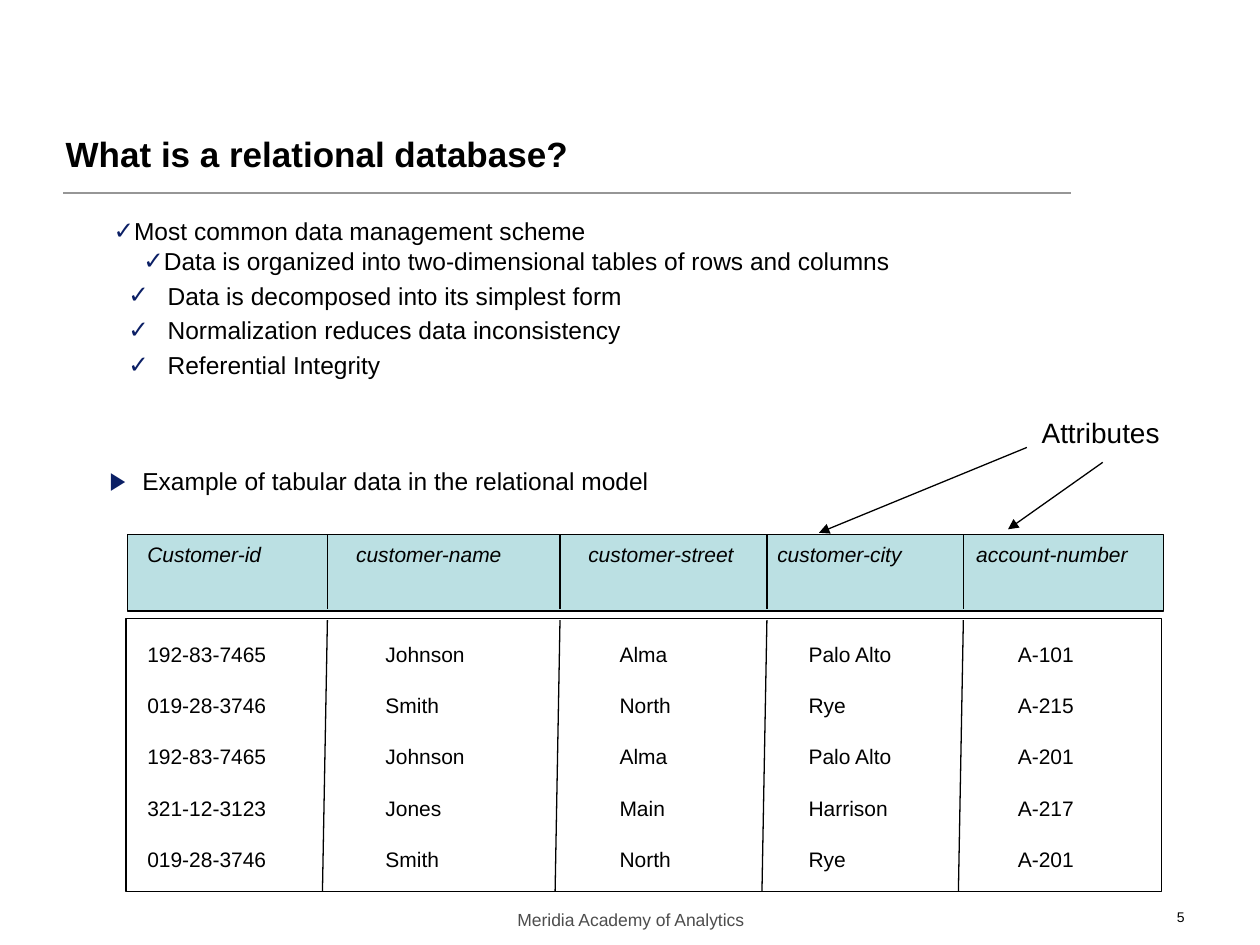
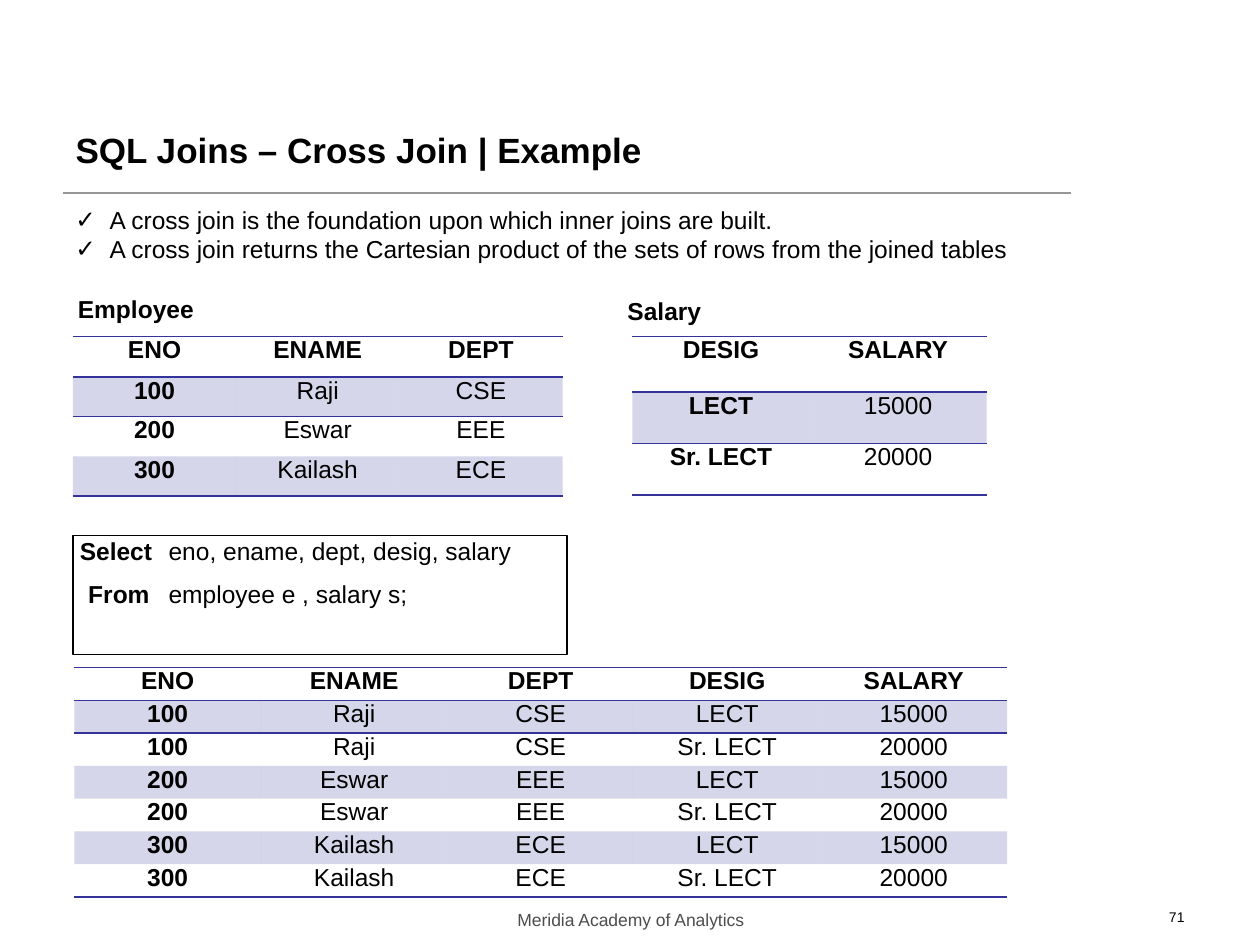
import pptx
import pptx.util
import pptx.dml.color
import pptx.enum.shapes
import pptx.enum.text
import pptx.oxml.ns
from lxml import etree

Cm, Pt = pptx.util.Cm, pptx.util.Pt
RGB = pptx.dml.color.RGBColor.from_string
ALIGN = pptx.enum.text.PP_ALIGN
ANCHOR = pptx.enum.text.MSO_ANCHOR
FIT = pptx.enum.text.MSO_AUTO_SIZE
SHAPE = pptx.enum.shapes.MSO_SHAPE
STRAIGHT = pptx.enum.shapes.MSO_CONNECTOR.STRAIGHT
qn = pptx.oxml.ns.qn

COLORS = {
    "text": "000000",
    "footer": "4D4D4D",
    "rule": "969696",
    "bullet": "0B1F65",
    "header": "BBE0E3",
    "paper": "FFFFFF",
    "grid": "333399",
}
FONT = "Arial"
NO_GRID_STYLE = "{2D5ABB26-0587-4C30-8999-92F81FD0307C}"


def write(frame, text, size=14, color="text", bold=False, italic=False, align=ALIGN.LEFT,
          before=0, spacing=None, margin=0, indent=0, bullet=None, bullet_color="text"):
    paragraph = frame.paragraphs[0]
    if paragraph.runs:
        paragraph = frame.add_paragraph()
    paragraph.alignment = align
    paragraph.space_before = Pt(before)
    if spacing:
        paragraph.line_spacing = spacing
    properties = paragraph._p.get_or_add_pPr()
    properties.set("marL", str(Cm(margin)))
    properties.set("indent", str(Cm(indent)))
    if bullet:
        tint = etree.SubElement(properties, qn("a:buClr"))
        etree.SubElement(tint, qn("a:srgbClr"), val=COLORS[bullet_color])
        etree.SubElement(properties, qn("a:buFont"), typeface=FONT)
        etree.SubElement(properties, qn("a:buChar"), char=bullet)
    else:
        etree.SubElement(properties, qn("a:buNone"))
    for part, part_bold in [(text, bold)] if isinstance(text, str) else text:
        run = paragraph.add_run()
        run.text = part
        run.font.name = FONT
        run.font.size = Pt(size)
        run.font.bold = part_bold
        run.font.italic = italic
        run.font.color.rgb = RGB(COLORS[color])


def draw_line(slide, start, end, color="text", arrow=False):
    line = slide.shapes.add_connector(STRAIGHT, *map(Cm, start + end))
    line.line.color.rgb = RGB(COLORS[color])
    line.line.width = Pt(0.75)
    if arrow:
        etree.SubElement(line.line._get_or_add_ln(), qn("a:tailEnd"), type="triangle")
    etree.SubElement(line._element.spPr, qn("a:effectLst"))


deck = pptx.Presentation()
deck.slide_width, deck.slide_height = Cm(25.4), Cm(19.05)

slides = []
for heading, place, number in [
    ("What is a relational database?", (1.07, 2.29, 19.69, 1.6), "5"),
    ("SQL Joins – Cross Join | Example", (1.27, 2.16, 19.05, 1.7), "71"),
]:
    slide = deck.slides.add_slide(deck.slide_layouts[5])
    slides.append(slide)
    title = slide.shapes.title
    title.left, title.top, title.width, title.height = map(Cm, place)
    title.text_frame.vertical_anchor = ANCHOR.MIDDLE
    title.text_frame.auto_size = FIT.NONE
    write(title.text_frame, heading, size=20, bold=True)
    draw_line(slide, (1.27, 3.89), (21.59, 3.89), color="rule")
    footer = slide.shapes.add_textbox(Cm(8.69), Cm(18.19), Cm(8.05), Cm(0.64)).text_frame
    footer.word_wrap = True
    write(footer, "Meridia Academy of Analytics", size=10, color="footer", align=ALIGN.CENTER)
    page = slide.shapes.add_textbox(Cm(18.21), Cm(18.19), Cm(5.92), Cm(0.64)).text_frame
    page.word_wrap = True
    write(page, number, size=8, align=ALIGN.RIGHT)

relational, cross_join = slides

features = relational.shapes.add_textbox(Cm(1.07), Cm(4.24), Cm(23.06), Cm(3.61)).text_frame
features.word_wrap = True
for feature, margin, indent, before in [
    ("Most common data management scheme", 0, 0.97, 0),
    ("Data is organized into two-dimensional tables of rows and columns", 0.6, 0.97, 0),
    ("Data is decomposed into its simplest form", 2.06, -0.79, 3),
    ("Normalization reduces data inconsistency", 2.06, -0.79, 3),
    ("Referential Integrity", 2.06, -0.79, 3),
]:
    write(features, feature, margin=margin, indent=indent, before=before,
          bullet="✓", bullet_color="bullet")

example = relational.shapes.add_textbox(Cm(1.68), Cm(9.32), Cm(21.79), Cm(1.27)).text_frame
example.word_wrap = True
write(example, "Example of tabular data in the relational model", spacing=0.93,
      margin=0.94, indent=-0.66, bullet="▶", bullet_color="bullet")

for place, fill in [
    ((2.57, 10.77, 20.88, 1.55), "header"),
    ((2.54, 12.47, 20.88, 5.51), "paper"),
]:
    band = relational.shapes.add_shape(SHAPE.RECTANGLE, *map(Cm, place))
    band.shadow.inherit = False
    band.fill.solid()
    band.fill.fore_color.rgb = RGB(COLORS[fill])
    band.line.color.rgb = RGB(COLORS["text"])
    band.line.width = Pt(0.75)

for attribute, name_left, left, width, values in [
    ("Customer-id", 2.72, 2.72, 2.92,
     ["192-83-7465", "019-28-3746", "192-83-7465", "321-12-3123", "019-28-3746"]),
    ("customer-name", 6.93, 7.52, 2.11, ["Johnson", "Smith", "Johnson", "Jones", "Smith"]),
    ("customer-street", 11.61, 12.24, 1.55, ["Alma", "North", "Alma", "Main", "North"]),
    ("customer-city", 15.42, 16.05, 2.18, ["Palo Alto", "Rye", "Palo Alto", "Harrison", "Rye"]),
    ("account-number", 19.43, 20.27, 1.65, ["A-101", "A-215", "A-201", "A-217", "A-201"]),
]:
    name = relational.shapes.add_textbox(Cm(name_left), Cm(10.8), Cm(4.01), Cm(0.76)).text_frame
    name.word_wrap = True
    write(name, attribute, size=12, italic=True)
    column = relational.shapes.add_textbox(Cm(left), Cm(12.8), Cm(width), Cm(4.88)).text_frame
    column.word_wrap = False
    column.auto_size = FIT.SHAPE_TO_FIT_TEXT
    for row, value in enumerate(values):
        write(column, value, size=12, before=15 if row else 0)

for divider in (6.6, 11.29, 15.46, 19.42):
    draw_line(relational, (divider, 10.78), (divider, 12.27))
    draw_line(relational, (divider, 12.5), (divider - 0.1, 17.98))

draw_line(relational, (22.23, 9.32), (20.32, 10.67), arrow=True)
draw_line(relational, (20.7, 9.02), (16.51, 10.74), arrow=True)
attributes = relational.shapes.add_textbox(Cm(20.75), Cm(8.26), Cm(2.92), Cm(0.94)).text_frame
attributes.word_wrap = False
attributes.auto_size = FIT.SHAPE_TO_FIT_TEXT
write(attributes, "Attributes", size=16)

facts = cross_join.shapes.add_textbox(Cm(1.27), Cm(4.01), Cm(20.32), Cm(1.45)).text_frame
facts.word_wrap = True
for fact in [
    "A cross join is the foundation upon which inner joins are built.",
    "A cross join returns the Cartesian product of the sets of rows from the joined tables",
]:
    write(facts, fact, margin=0.69, indent=-0.69, bullet="✓")

employees = [("100", "Raji", "CSE"), ("200", "Eswar", "EEE"), ("300", "Kailash", "ECE")]
salaries = [("LECT", "15000"), ("Sr. LECT", "20000")]
employee_names = ("ENO", "ENAME", "DEPT")
salary_names = ("DESIG", "SALARY")
product = [employee + salary for employee in employees for salary in salaries]

for records, left, top, column_width, header_height, row_height in [
    ([employee_names] + employees, 1.47, 6.78, 3.29, 0.82, 0.8),
    ([salary_names] + salaries, 12.75, 6.78, 3.57, 1.12, 1.04),
    ([employee_names + salary_names] + product, 1.5, 13.46, 3.76, 0.66, 0.66),
]:
    rows, columns = len(records), len(records[0])
    frame = cross_join.shapes.add_table(
        rows, columns, Cm(left), Cm(top), Cm(column_width * columns),
        Cm(header_height + row_height * (rows - 1)))
    table = frame.table
    table.horz_banding = False
    table.first_row = False
    frame._element.find(".//" + qn("a:tableStyleId")).text = NO_GRID_STYLE
    for column in table.columns:
        column.width = Cm(column_width)
    for row, record in enumerate(records):
        table.rows[row].height = Cm(row_height if row else header_height)
        for column, value in enumerate(record):
            cell = table.cell(row, column)
            cell.margin_left = cell.margin_right = cell.margin_top = cell.margin_bottom = 0
            write(cell.text_frame, value, bold=row == 0 or column == 0, align=ALIGN.CENTER)
            properties = cell._tc.get_or_add_tcPr()
            if row % 2:
                cell.fill.solid()
                cell.fill.fore_color.rgb = RGB(COLORS["grid"])
                etree.SubElement(properties.find(".//" + qn("a:srgbClr")), qn("a:alpha"), val="20000")
            else:
                cell.fill.background()
            edges = {0: ["a:lnT", "a:lnB"], 1: ["a:lnT"], rows - 1: ["a:lnB"]}.get(row, [])
            for position, edge in enumerate(edges):
                border = etree.Element(qn(edge), w=str(Pt(1)))
                paint = etree.SubElement(border, qn("a:solidFill"))
                etree.SubElement(paint, qn("a:srgbClr"), val=COLORS["grid"])
                properties.insert(position, border)

for caption, left, top in [("Employee", 1.57, 5.92), ("Salary", 12.65, 5.97)]:
    label = cross_join.shapes.add_textbox(Cm(left), Cm(top), Cm(3.07), Cm(0.61)).text_frame
    label.word_wrap = True
    label.margin_left = label.margin_right = label.margin_top = label.margin_bottom = 0
    write(label, caption, bold=True)

query = cross_join.shapes.add_shape(SHAPE.RECTANGLE, Cm(1.47), Cm(10.8), Cm(9.96), Cm(2.39))
query.shadow.inherit = False
query.fill.background()
query.line.color.rgb = RGB(COLORS["text"])
query.line.width = Pt(0.75)
clauses = query.text_frame
clauses.word_wrap = True
clauses.vertical_anchor = ANCHOR.TOP
clauses.margin_left = clauses.margin_right = clauses.margin_top = clauses.margin_bottom = 0
write(clauses, [("Select\t", True), ("eno, ename, dept, desig, salary", False)],
      margin=0.66, indent=-0.52)
write(clauses, [("From\t", True), ("employee e , salary s;", False)],
      margin=0.66, indent=-0.35, before=8)

deck.save("out.pptx")
